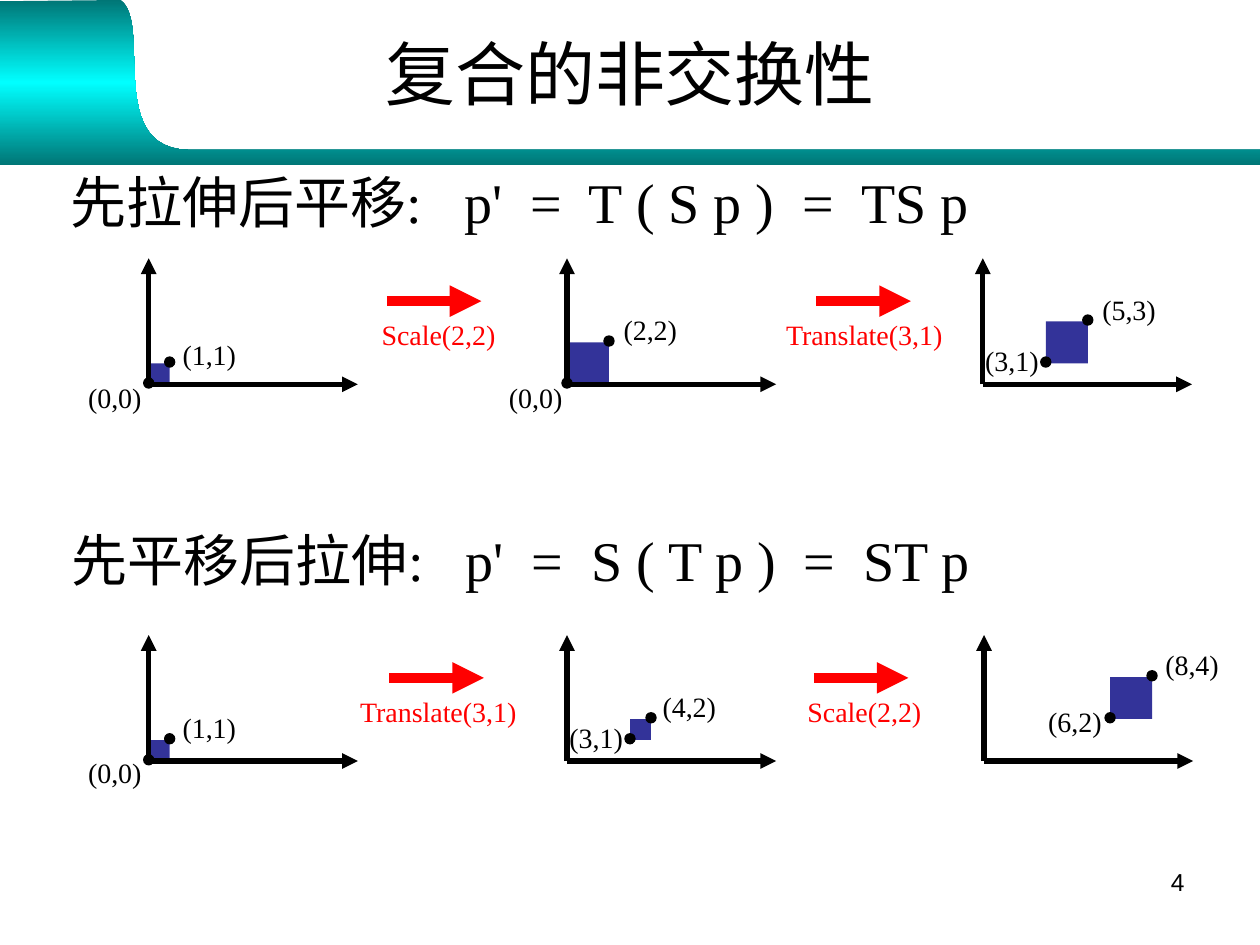
"""Build a slide showing that composing scale and translate is not commutative."""
from pptx import Presentation
from pptx.dml.color import RGBColor
from pptx.enum.shapes import MSO_CONNECTOR, MSO_SHAPE
from pptx.enum.text import MSO_ANCHOR, PP_ALIGN
from pptx.oxml import parse_xml
from pptx.oxml.ns import nsdecls, qn
from pptx.util import Inches, Pt

STRAIGHT = MSO_CONNECTOR.STRAIGHT
RECT, OVAL = MSO_SHAPE.RECTANGLE, MSO_SHAPE.OVAL
LEFT, CENTER, RIGHT = PP_ALIGN.LEFT, PP_ALIGN.CENTER, PP_ALIGN.RIGHT

THEME = {
    "ink": "000000", "square": "333399", "step": "FF0000",
    "band": ("007676", "00FFFF", "007676"),
    "sans": "Arial", "serif": "Times New Roman",
    "title": 40, "heading": 32, "label": 16, "number": 14,
    "axis": 3, "arrow": 6, "outline": 0.75,
}

TITLE = "复合的非交换性"
NUMBER = "4"
ROWS = [
    {
        "heading": ("先拉伸后平移:   p'  =  T ( S p )  =  TS p", 0.46, 1.28),
        "base": 3.05,
        "panels": [
            (1.18, [((0, 0), 0.6, 2.97), ((1, 1), 1.35, 2.63)]),
            (4.5, [((0, 0), 3.94, 2.97), ((2, 2), 4.85, 2.43)]),
            (7.8, [((3, 1), 7.72, 2.68), ((5, 3), 8.65, 2.27)]),
        ],
        "steps": [("Scale(2,2)", 2.93, 1.23, 3.07),
                  ("Translate(3,1)", 6.14, 1.56, 6.48)],
    },
    {
        "heading": ("先平移后拉伸:   p'  =  S ( T p )  =  ST p", 0.47, 4.12),
        "base": 6.04,
        "panels": [
            (1.18, [((0, 0), 0.6, 5.95), ((1, 1), 1.35, 5.59)]),
            (4.5, [((3, 1), 4.42, 5.67), ((4, 2), 5.16, 5.42)]),
            (7.81, [((6, 2), 8.22, 5.54), ((8, 4), 9.15, 5.09)]),
        ],
        "steps": [("Translate(3,1)", 2.76, 1.56, 3.09),
                  ("Scale(2,2)", 6.31, 1.23, 6.46)],
    },
]
BAND_START = (10, 1.31)
BAND = [
    [(0, 1.31)],
    [(0, 0.01)],
    [(0.96, 0)],
    [(1.21, 0.2), (0.83, 1.19), (1.51, 1.19)],
    [(1.99, 1.19), (10, 1.19), (10, 1.19)],
]
UNIT = 1 / 6
DOT = 0.08
AXIS_X, AXIS_Y = 1.66, 1
ARROW = 0.75
LABEL_W, LABEL_H = 0.65, 0.37


def rgb(name):
    return RGBColor.from_string(THEME[name])


def style(p, size, font="serif", color="ink", align=LEFT):
    p.alignment = align
    p.font.size = Pt(THEME[size])
    p.font.name = THEME[font]
    p.font.color.rgb = rgb(color)


def add_text(s, text, box, size, wrap=True, **look):
    tf = s.shapes.add_textbox(*map(Inches, box)).text_frame
    tf.word_wrap = wrap
    tf.text = text
    style(tf.paragraphs[0], size, **look)


def add_solid(s, kind, box, color, outline=None):
    sp = s.shapes.add_shape(kind, *map(Inches, box))
    sp.shadow.inherit = False
    sp.fill.solid()
    sp.fill.fore_color.rgb = rgb(color)
    if outline:
        sp.line.color.rgb = rgb(color)
        sp.line.width = Pt(THEME[outline])
    else:
        sp.line.fill.background()


def add_arrow(s, start, end, color, width):
    c = s.shapes.add_connector(STRAIGHT, *map(Inches, start + end))
    c.line.color.rgb = rgb(color)
    c.line.width = Pt(THEME[width])
    c.line._get_or_add_ln().append(
        parse_xml(f'<a:tailEnd {nsdecls("a")} type="triangle"/>'))
    c._element.spPr.append(parse_xml(f'<a:effectLst {nsdecls("a")}/>'))


def bezier(points, steps=24):
    for i in range(1, steps + 1):
        t = i / steps
        weights = ((1 - t) ** 3, 3 * t * (1 - t) ** 2, 3 * t * t * (1 - t), t ** 3)
        yield tuple(sum(w * p[k] for w, p in zip(weights, points)) for k in (0, 1))


def add_band(s):
    outline = [BAND_START]
    for segment in BAND:
        outline += segment if len(segment) == 1 else bezier([outline[-1]] + segment)
    points = [(Inches(x), Inches(y)) for x, y in outline]
    fb = s.shapes.build_freeform(*points[0])
    fb.add_line_segments(points[1:])
    sp = fb.convert_to_shape()
    sp.shadow.inherit = False
    sp.line.fill.background()
    stops = "".join(
        f'<a:gs pos="{i * 50000}"><a:srgbClr val="{color}"/></a:gs>'
        for i, color in enumerate(THEME["band"]))
    sp._element.spPr.find(qn("a:custGeom")).addnext(parse_xml(
        f'<a:gradFill {nsdecls("a")}><a:gsLst>{stops}</a:gsLst>'
        '<a:lin ang="5400000" scaled="0"/></a:gradFill>'))


def add_panel(s, x0, base, corners):
    low, high = [point for point, _, _ in corners]
    side = (high[0] - low[0]) * UNIT
    add_solid(s, RECT, (x0 + low[0] * UNIT, base - high[1] * UNIT, side, side),
              "square")
    for end in ((x0, base - AXIS_Y), (x0 + AXIS_X, base)):
        add_arrow(s, (x0, base), end, "ink", "axis")
    for (x, y), left, top in corners:
        add_solid(s, OVAL, (x0 + x * UNIT - DOT / 2,
                            base - 0.01 - y * UNIT - DOT / 2, DOT, DOT),
                  "ink", "outline")
        add_text(s, f"({x},{y})", (left, top, LABEL_W, LABEL_H), "label")


def main():
    prs = Presentation()
    prs.slide_width, prs.slide_height = Inches(10), Inches(7.5)
    s = prs.slides.add_slide(prs.slide_layouts[5])
    add_band(s)

    title = s.shapes.title
    title.left, title.top, title.width, title.height = map(Inches, (0.5, 0, 9, 1.15))
    title.text_frame.text = TITLE
    title.text_frame.vertical_anchor = MSO_ANCHOR.MIDDLE
    style(title.text_frame.paragraphs[0], "title", font="sans", align=CENTER)

    for row in ROWS:
        text, left, top = row["heading"]
        base = row["base"]
        add_text(s, text, (left, top, 7.46, 0.64), "heading", wrap=False)
        for x0, corners in row["panels"]:
            add_panel(s, x0, base, corners)
        for name, left, width, start in row["steps"]:
            y = base - 0.66
            add_arrow(s, (start, y), (start + ARROW, y), "step", "arrow")
            add_text(s, name, (left, y + 0.08, width, LABEL_H), "label", color="step")

    add_text(s, NUMBER, (7.17, 6.83, 2.33, 0.52), "number", font="sans", align=RIGHT)
    prs.save("out.pptx")


if __name__ == "__main__":
    main()
